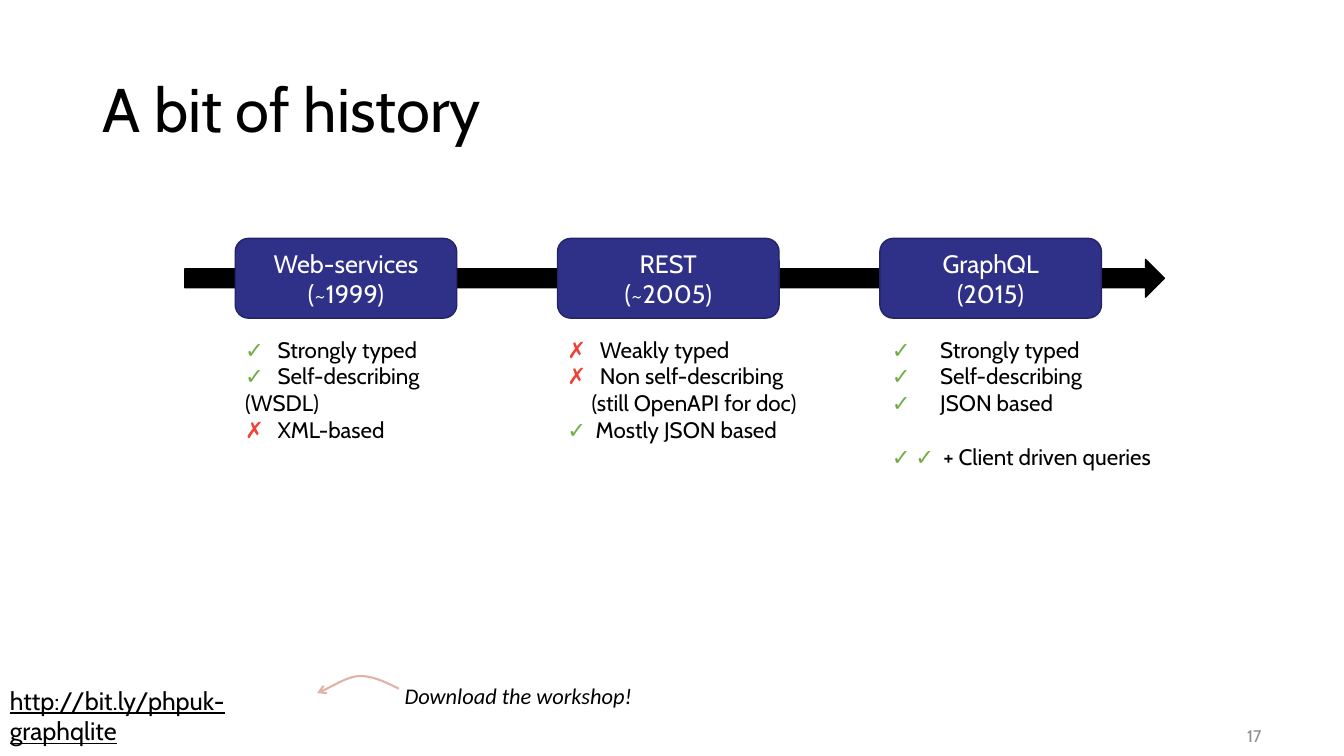
from lxml import etree
from pptx import Presentation
from pptx.dml.color import RGBColor
from pptx.enum.shapes import MSO_SHAPE
from pptx.enum.text import MSO_ANCHOR, PP_ALIGN
from pptx.oxml.ns import qn
from pptx.util import Pt

PX = 9525
SLIDE_SIZE = (1280, 720)
RIGHT_ARROW, ROUNDED = MSO_SHAPE.RIGHT_ARROW, MSO_SHAPE.ROUNDED_RECTANGLE
TOP, MIDDLE = MSO_ANCHOR.TOP, MSO_ANCHOR.MIDDLE
LEFT, CENTER, RIGHT = PP_ALIGN.LEFT, PP_ALIGN.CENTER, PP_ALIGN.RIGHT

BLACK, WHITE, GREY = "000000", "FFFFFF", "8C8C8C"
NAVY, NAVY_EDGE, ROSE = "2F3088", "232465", "E0B3A6"
MARK_COLORS = {"✓": "70AD47", "✗": "EF4136"}

TITLE = {"name": "Cabin", "size": Pt(44)}
ERA = {"name": "Cabin", "size": Pt(18)}
ITEM = {"name": "Cabin", "size": Pt(16)}
LINK = {"name": "Cabin", "size": Pt(18), "underline": True}
HINT = {"name": "Calibri", "size": Pt(16), "italic": True}
NUMBER = {"name": "Cabin", "size": Pt(12)}

# Each era: heading, shift of its list, items as (mark, text, text offset, points before)
ERAS = [
    ("Web-services\v(~1999)", 0, [
        ("✓", "Strongly typed", 31, 0),
        ("✓", "Self-describing", 31, 0),
        ("", "(WSDL)", 0, 0),
        ("✗", "XML-based", 31, 0),
    ]),
    ("REST\v(~2005)", 0, [
        ("✗", "Weakly typed", 31, 0),
        ("✗", "Non self-describing", 31, 0),
        ("", "(still OpenAPI for doc)", 23, 0),
        ("✓", "Mostly JSON based", 27, 0),
    ]),
    ("GraphQL\v(2015)", 2, [
        ("✓", "Strongly typed", 46, 0),
        ("✓", "Self-describing", 46, 0),
        ("✓", "JSON based", 46, 0),
        ("✓ ✓", "+ Client driven queries", 49, 19),
    ]),
]


def rgb(color):
    return RGBColor.from_string(color)


def emu(*lengths):
    return [round(length * PX) for length in lengths]


def style(span, look, color):
    for key, value in look.items():
        setattr(span.font, key, value)
    span.font.color.rgb = rgb(color)


def add_span(para, text, look, color):
    span = para.add_run()
    span.text = text
    style(span, look, color)


def write(shape, text, look, color, align=LEFT, anchor=TOP):
    frame = shape.text_frame
    frame.word_wrap = True
    frame.vertical_anchor = anchor
    para = frame.paragraphs[0]
    para.text = text
    para.alignment = align
    for span in para.runs:
        style(span, look, color)
    return para


def add_label(page, box, text, look, color, align=LEFT, anchor=TOP):
    return write(page.shapes.add_textbox(*emu(*box)), text, look, color, align, anchor)


def add_block(page, kind, box, fill, edge):
    block = page.shapes.add_shape(kind, *emu(*box))
    block.shadow.inherit = False
    block.fill.solid()
    block.fill.fore_color.rgb = rgb(fill)
    block.line.color.rgb = rgb(edge)
    block.line.width = Pt(1)
    return block


def set_text_offset(para, offset, has_mark):
    """Put the item's text at the offset: by a tab after a mark, else by a margin."""
    props = para._p.get_or_add_pPr()
    if has_mark:
        tabs = etree.SubElement(props, qn("a:tabLst"))
        etree.SubElement(tabs, qn("a:tab"), pos=str(offset * PX), algn="l")
    else:
        props.set("marL", str(offset * PX))


def add_checklist(page, box, items):
    frame = page.shapes.add_textbox(*emu(*box)).text_frame
    frame.word_wrap = True
    for index, (mark, text, offset, before) in enumerate(items):
        para = frame.add_paragraph() if index else frame.paragraphs[0]
        if before:
            para.space_before = Pt(before)
        set_text_offset(para, offset, bool(mark))
        if mark:
            add_span(para, mark + "\t", ITEM, MARK_COLORS[mark[0]])
        add_span(para, text, ITEM, BLACK)


def add_timeline(page, box):
    left, top, width, height = box
    era_width, era_height, step = 211, 76, 307
    add_block(page, RIGHT_ARROW, (left, top + 20, width, 36), BLACK, BLACK)
    for index, (heading, shift, items) in enumerate(ERAS):
        era_left = left + 48 + index * step
        era = add_block(page, ROUNDED, (era_left, top, era_width, era_height), NAVY, NAVY_EDGE)
        write(era, heading, ERA, WHITE, CENTER, MIDDLE)
        list_top = top + era_height + 12
        add_checklist(page, (era_left + shift, list_top, 274, top + height - list_top), items)


def bezier(points, steps=12):
    """Points along a cubic curve, without its start."""
    for step in range(1, steps + 1):
        t = step / steps
        weights = ((1 - t) ** 3, 3 * t * (1 - t) ** 2, 3 * t * t * (1 - t), t ** 3)
        yield emu(*(sum(w * p[axis] for w, p in zip(weights, points)) for axis in (0, 1)))


def add_curved_arrow(page, box):
    left, top = box[:2]
    knots = [(left + x, top + y) for x, y in
             [(78, 12), (66, 6), (52, -1), (39, 0), (26, 1), (10, 13), (0, 16)]]
    builder = page.shapes.build_freeform(*emu(*knots[0]), scale=1.0)
    curve = [*bezier(knots[:4]), *bezier(knots[3:])]
    builder.add_line_segments(curve, close=False)
    arrow = builder.convert_to_shape()
    arrow.shadow.inherit = False
    arrow.fill.background()
    arrow.line.color.rgb = rgb(ROSE)
    arrow.line.width = Pt(1.5)
    etree.SubElement(arrow.line._get_or_add_ln(), qn("a:tailEnd"), type="arrow")


def add_footer(page, box):
    left, top, width, height = box
    add_label(page, (left, top + 19, 320, 38), "http://bit.ly/phpuk-graphqlite", LINK, BLACK)
    add_curved_arrow(page, (left + 302, top + 15, 78, 16))
    add_label(page, (left + 376, top + 16, 239, 36), "Download the workshop!", HINT, BLACK)
    add_label(page, (left + width - 357, top + height - 38, 288, 38), "17",
              NUMBER, GREY, RIGHT, MIDDLE)


def build_history_slide(deck):
    page = deck.slides.add_slide(deck.slide_layouts[6])
    title = add_label(page, (88, 38, 1104, 139), "A bit of history", TITLE, BLACK, anchor=MIDDLE)
    title.line_spacing = 0.9
    add_timeline(page, (176, 227, 933, 227))
    add_footer(page, (0, 629, 1280, 91))


def main():
    deck = Presentation()
    deck.slide_width, deck.slide_height = emu(*SLIDE_SIZE)
    build_history_slide(deck)
    deck.save("out.pptx")


if __name__ == "__main__":
    main()
